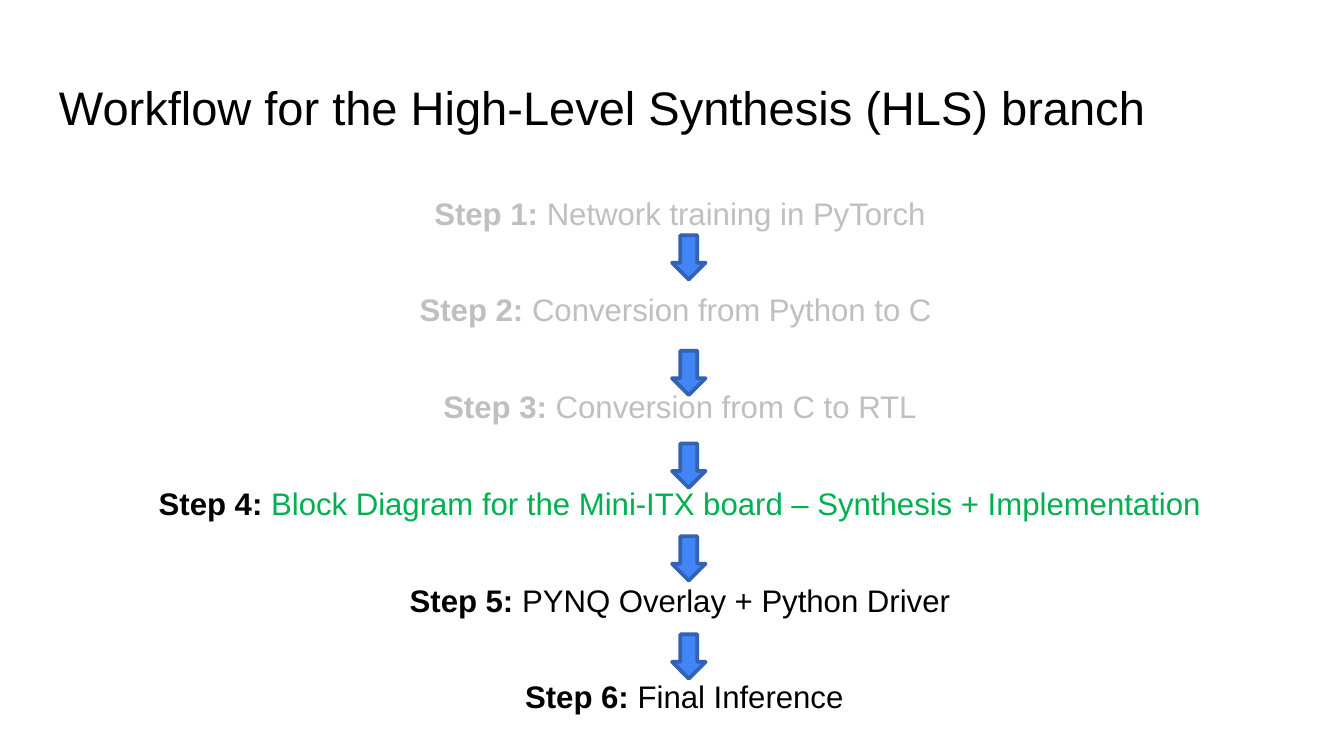
from pptx import Presentation
from pptx.dml.color import RGBColor
from pptx.enum.shapes import MSO_SHAPE
from pptx.enum.text import MSO_ANCHOR, PP_ALIGN
from pptx.util import Inches, Pt

BLACK = RGBColor(0x00, 0x00, 0x00)
GRAY = RGBColor(0xBF, 0xBF, 0xBF)
GREEN = RGBColor(0x00, 0xB0, 0x50)
BLUE = RGBColor(0x42, 0x85, 0xF4)
DARK_BLUE = RGBColor(0x31, 0x62, 0xB5)


def add_run(paragraph, text, size=16.7, color=BLACK, bold=False):
    run = paragraph.add_run()
    run.text = text
    run.font.name = "Arial"
    run.font.size = Pt(size)
    run.font.color.rgb = color
    run.font.bold = bold


def add_frame(left, top, width, height, anchor):
    box = slide.shapes.add_textbox(Inches(left), Inches(top), Inches(width), Inches(height))
    frame = box.text_frame
    frame.word_wrap = True
    frame.vertical_anchor = anchor
    frame.margin_left = frame.margin_right = Inches(0.1)
    frame.margin_top = frame.margin_bottom = Inches(0.1)
    return frame


prs = Presentation()
prs.slide_width = Inches(10)
prs.slide_height = Inches(10 * 9 / 16)
slide = prs.slides.add_slide(prs.slide_layouts[6])

# Title
title = add_frame(0.34, 0.48, 9.32, 0.63, MSO_ANCHOR.MIDDLE)
add_run(title.paragraphs[0], "Workflow for the High-Level Synthesis (HLS) branch", size=25.2)

# Steps: finished ones gray, the current one green
steps = [
    ("Step 1: ", "Network training in PyTorch", GRAY, GRAY),
    ("Step 2: ", "Conversion from Python to C ", GRAY, GRAY),
    ("Step 3: ", "Conversion from C to RTL", GRAY, GRAY),
    ("Step 4: ", "Block Diagram for the Mini-ITX board – Synthesis + Implementation", BLACK, GREEN),
    ("Step 5: ", "PYNQ Overlay + Python Driver", BLACK, BLACK),
    (" Step 6: ", "Final Inference", BLACK, BLACK),
]
workflow = add_frame(0.46, 1.26, 9.2, 4.3, MSO_ANCHOR.TOP)
for index, (label, task, label_color, task_color) in enumerate(steps):
    step = workflow.add_paragraph() if index else workflow.paragraphs[0]
    step.alignment = PP_ALIGN.CENTER
    step.line_spacing = 1.3
    step.space_after = Pt(25.8)
    add_run(step, label, color=label_color, bold=True)
    add_run(step, task, color=task_color)

# Arrows between the steps
for arrow_top in (1.75, 2.61, 3.3, 3.99, 4.72):
    arrow = slide.shapes.add_shape(
        MSO_SHAPE.DOWN_ARROW, Inches(5), Inches(arrow_top), Inches(0.25), Inches(0.33))
    arrow.shadow.inherit = False
    arrow.fill.solid()
    arrow.fill.fore_color.rgb = BLUE
    arrow.line.color.rgb = DARK_BLUE
    arrow.line.width = Pt(2)

prs.save("out.pptx")
